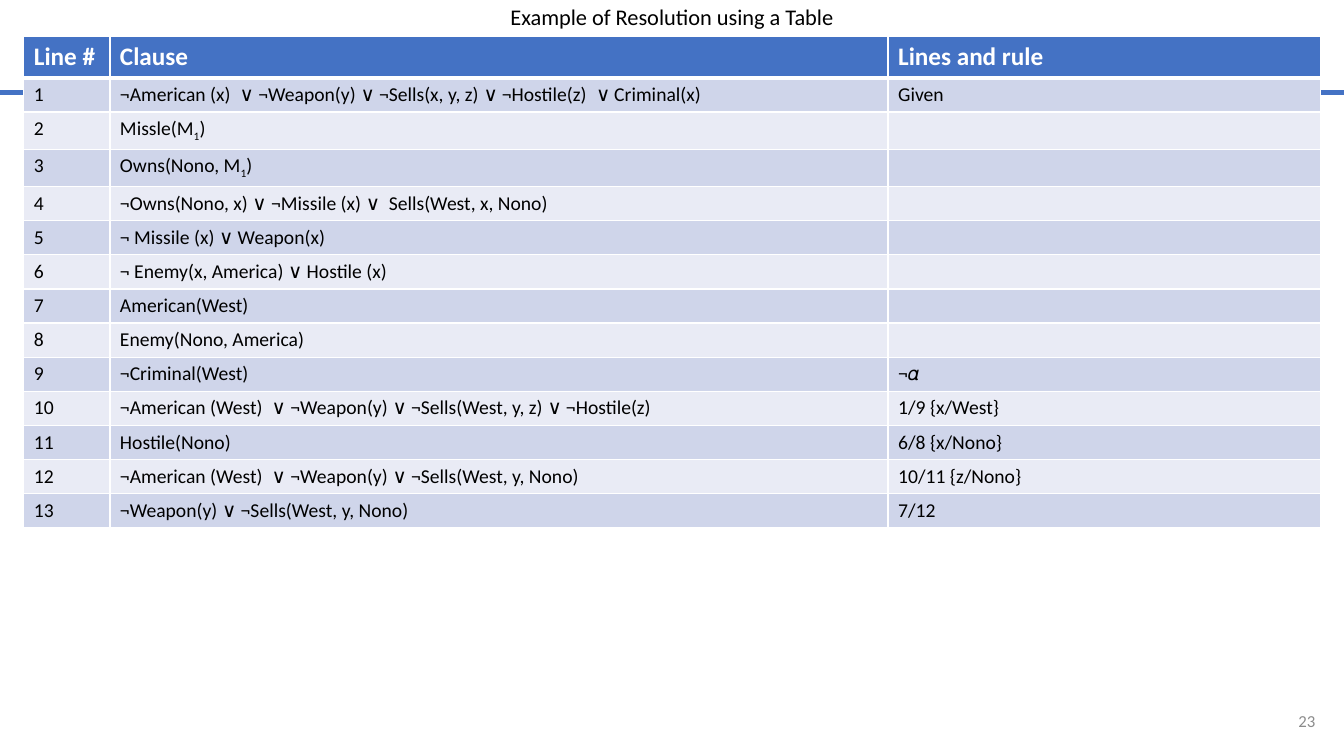
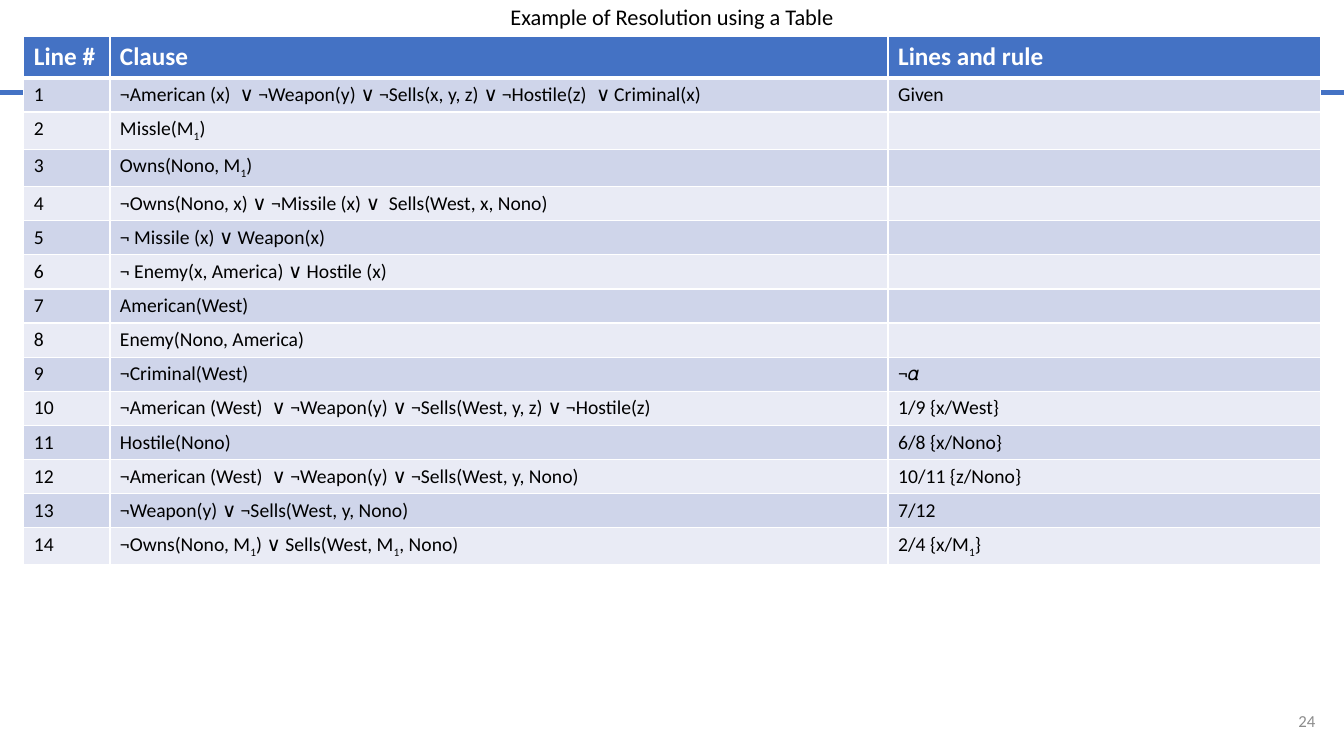
from lxml import etree
from pptx import Presentation
from pptx.dml.color import RGBColor
from pptx.enum.shapes import MSO_CONNECTOR
from pptx.enum.text import MSO_ANCHOR, MSO_AUTO_SIZE, PP_ALIGN
from pptx.oxml import parse_xml
from pptx.oxml.ns import nsdecls, qn
from pptx.util import Cm, Pt

# Shared look
FONT = "Calibri"
BLUE = RGBColor(0x44, 0x72, 0xC4)
BAND_DARK = RGBColor(0xCF, 0xD5, 0xEA)
BAND_LIGHT = RGBColor(0xE9, 0xEB, 0xF5)
WHITE = RGBColor(0xFF, 0xFF, 0xFF)
BLACK = RGBColor(0, 0, 0)
GRAY = RGBColor(0x8C, 0x8C, 0x8C)

SLIDE_WIDTH, SLIDE_HEIGHT = Cm(33.87), Cm(19.05)
COLUMN_WIDTHS = [Cm(2.17), Cm(19.61), Cm(10.9)]
HEADER_HEIGHT, ROW_HEIGHT, TALL_ROW_HEIGHT = Cm(1.04), Cm(0.86), Cm(0.94)
TALL_LINES = (2, 3)

# Proof content; an underscore lowers the character after it
TITLE = "Example of Resolution using a Table"
HEADINGS = ["Line #", "Clause", "Lines and rule"]
PROOF = [
    ("¬American (x)  ∨ ¬Weapon(y) ∨ ¬Sells(x, y, z) ∨ ¬Hostile(z)  ∨ Criminal(x)", "Given"),
    ("Missle(M_1)", ""),
    ("Owns(Nono, M_1)", ""),
    ("¬Owns(Nono, x) ∨ ¬Missile (x) ∨  Sells(West, x, Nono)", ""),
    ("¬ Missile (x) ∨ Weapon(x)", ""),
    ("¬ Enemy(x, America) ∨ Hostile (x)", ""),
    ("American(West)", ""),
    ("Enemy(Nono, America)", ""),
    ("¬Criminal(West)", "¬𝛼"),
    ("¬American (West)  ∨ ¬Weapon(y) ∨ ¬Sells(West, y, z) ∨ ¬Hostile(z)", "1/9 {x/West}"),
    ("Hostile(Nono)", "6/8 {x/Nono}"),
    ("¬American (West)  ∨ ¬Weapon(y) ∨ ¬Sells(West, y, Nono)", "10/11 {z/Nono}"),
    ("¬Weapon(y) ∨ ¬Sells(West, y, Nono)", "7/12"),
    ("¬Owns(Nono, M_1) ∨ Sells(West, M_1, Nono)", "2/4 {x/M_1}"),
]
# Slide number and how many proof lines it shows
STEPS = [(23, 13), (24, 14)]


def set_font(paragraph, size, color, bold=False):
    font = paragraph.font
    font.name, font.size, font.bold = FONT, Pt(size), bold
    font.color.rgb = color


def add_title(slide):
    title = slide.shapes.title
    title.left, title.top, title.width, title.height = 0, Cm(-0.05), SLIDE_WIDTH, Cm(1.04)
    frame = title.text_frame
    frame.text = TITLE
    frame.auto_size = MSO_AUTO_SIZE.NONE
    frame.vertical_anchor = MSO_ANCHOR.MIDDLE
    heading = frame.paragraphs[0]
    heading.alignment = PP_ALIGN.CENTER
    heading.line_spacing = 0.9
    set_font(heading, 16, BLACK)


def add_rule(slide):
    y = Cm(2.34)
    rule = slide.shapes.add_connector(MSO_CONNECTOR.STRAIGHT, 0, y, SLIDE_WIDTH, y)
    rule.line.color.rgb = BLUE
    rule.line.width = Pt(3.75)
    etree.SubElement(rule._element.spPr, qn("a:effectLst"))


def add_page_number(slide, number):
    frame = slide.shapes.add_textbox(Cm(31.67), Cm(17.65), Cm(1.73), Cm(1.02)).text_frame
    frame.word_wrap = True
    frame.vertical_anchor = MSO_ANCHOR.MIDDLE
    frame.text = str(number)
    page = frame.paragraphs[0]
    page.alignment = PP_ALIGN.RIGHT
    set_font(page, 12, GRAY)


def write_clause(paragraph, text):
    plain, *lowered = text.split("_")
    if plain:
        paragraph.add_run().text = plain
    for piece in lowered:
        subscript = paragraph.add_run()
        subscript.text = piece[0]
        subscript.font._element.set("baseline", "-25000")
        paragraph.add_run().text = piece[1:]


def set_borders(cell, top, bottom):
    properties = cell._tc.get_or_add_tcPr()
    for side, points in (("L", 1), ("R", 1), ("T", top), ("B", bottom)):
        properties.append(parse_xml(
            f'<a:ln{side} {nsdecls("a")} w="{Pt(points)}"><a:solidFill>'
            f'<a:srgbClr val="{WHITE}"/></a:solidFill></a:ln{side}>'))


def fill_cell(cell, text, line):
    """Line 0 is the header; the others alternate between two bands."""
    is_header = line == 0
    set_borders(cell, top=3 if line == 1 else 1, bottom=3 if is_header else 1)
    cell.fill.solid()
    cell.fill.fore_color.rgb = BLUE if is_header else BAND_DARK if line % 2 else BAND_LIGHT
    paragraph = cell.text_frame.paragraphs[0]
    size = 18 if is_header else 14
    write_clause(paragraph, text)
    set_font(paragraph, size, WHITE if is_header else BLACK, is_header)
    if not text:
        # An empty cell takes its line height from the end mark
        paragraph._p.get_or_add_endParaRPr().set("sz", str(size * 100))


def add_proof_table(slide, line_count):
    rows = [HEADINGS] + [(str(line), *step) for line, step in enumerate(PROOF[:line_count], 1)]
    heights = [HEADER_HEIGHT] + [TALL_ROW_HEIGHT if line in TALL_LINES else ROW_HEIGHT
                                 for line in range(1, line_count + 1)]
    table = slide.shapes.add_table(len(rows), len(HEADINGS), Cm(0.6), Cm(0.92),
                                   sum(COLUMN_WIDTHS), sum(heights)).table
    for column, width in zip(table.columns, COLUMN_WIDTHS):
        column.width = width
    for line, (row, height, texts) in enumerate(zip(table.rows, heights, rows)):
        row.height = height
        for cell, text in zip(row.cells, texts):
            fill_cell(cell, text, line)


def main():
    deck = Presentation()
    deck.slide_width, deck.slide_height = SLIDE_WIDTH, SLIDE_HEIGHT
    title_only = deck.slide_layouts[5]
    for number, line_count in STEPS:
        slide = deck.slides.add_slide(title_only)
        add_title(slide)
        add_rule(slide)
        add_page_number(slide, number)
        add_proof_table(slide, line_count)
    deck.save("out.pptx")


if __name__ == "__main__":
    main()
